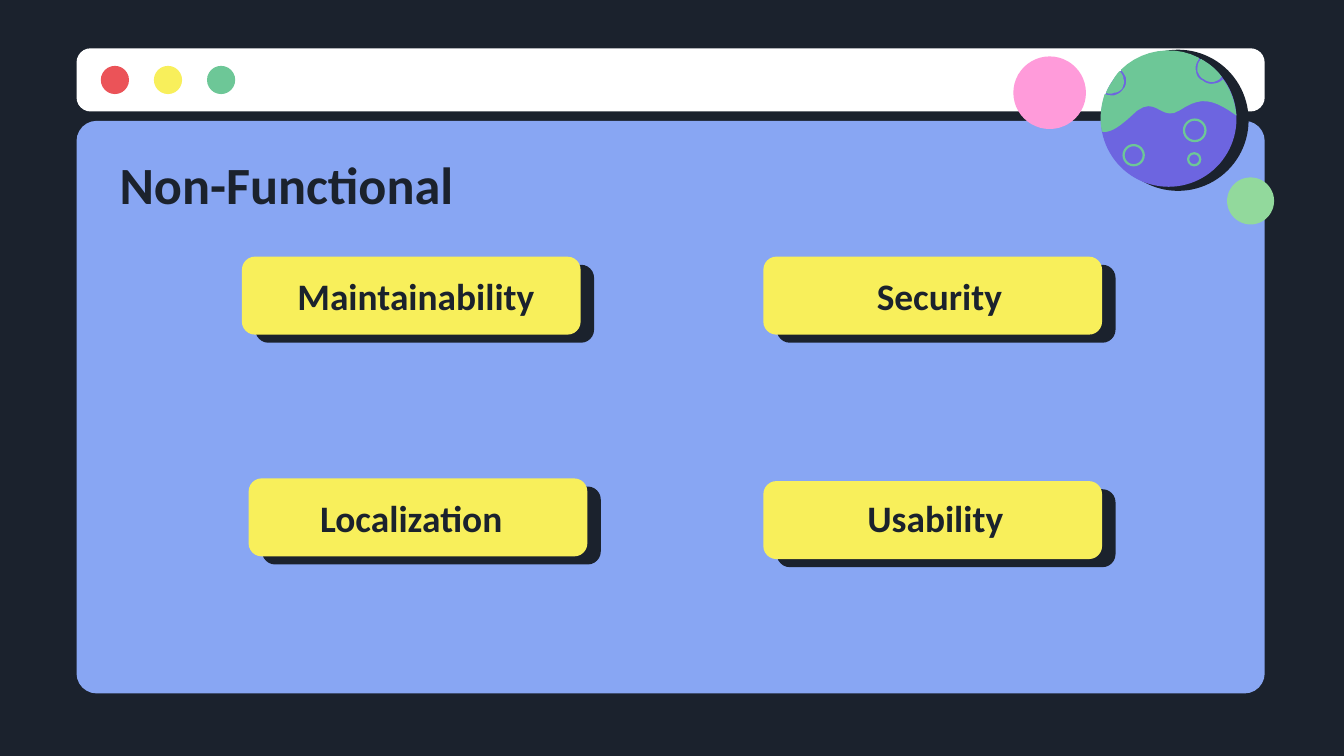
from pptx import Presentation
from pptx.dml.color import RGBColor
from pptx.enum.shapes import MSO_SHAPE
from pptx.enum.text import MSO_ANCHOR, MSO_AUTO_SIZE, PP_ALIGN
from pptx.util import Inches, Pt

ROUNDED = MSO_SHAPE.ROUNDED_RECTANGLE
OVAL = MSO_SHAPE.OVAL
LEFT, CENTER = PP_ALIGN.LEFT, PP_ALIGN.CENTER
MIDDLE = MSO_ANCHOR.MIDDLE
NO_AUTOFIT = MSO_AUTO_SIZE.NONE

NAVY = RGBColor(0x1B, 0x22, 0x2D)
BLUE = RGBColor(0x88, 0xA6, 0xF3)
WHITE = RGBColor(0xFF, 0xFF, 0xFF)
RED = RGBColor(0xEB, 0x53, 0x58)
YELLOW = RGBColor(0xF8, 0xEF, 0x5B)
GREEN = RGBColor(0x6D, 0xC7, 0x97)
PURPLE = RGBColor(0x6D, 0x65, 0xE0)
LIME = RGBColor(0x92, 0xD9, 0x9C)
PINK = RGBColor(0xFF, 0x9B, 0xDA)

CURVE_STEPS = 10
LAND_CONTOURS = [
    [(0.01, 0.60), (-0.01, 0.51), (0, 0.41), (0.03, 0.32),
     (0.06, 0.33), (0.08, 0.33), (0.10, 0.33),
     (0.13, 0.32), (0.15, 0.31), (0.17, 0.28),
     (0.19, 0.26), (0.19, 0.23), (0.19, 0.20),
     (0.18, 0.18), (0.17, 0.16), (0.15, 0.14),
     (0.30, -0.01), (0.54, -0.05), (0.73, 0.05),
     (0.73, 0.05), (0.73, 0.06), (0.73, 0.06),
     (0.71, 0.09), (0.70, 0.12), (0.71, 0.15),
     (0.71, 0.18), (0.73, 0.21), (0.76, 0.22),
     (0.78, 0.24), (0.82, 0.25), (0.85, 0.24),
     (0.87, 0.24), (0.89, 0.23), (0.91, 0.21),
     (0.97, 0.29), (1.00, 0.38), (1.01, 0.48),
     (0.83, 0.35), (0.74, 0.34), (0.59, 0.44),
     (0.44, 0.54), (0.41, 0.29), (0.22, 0.49),
     (0.12, 0.58), (0.06, 0.61), (0.01, 0.60)],
    [(0.04, 0.31), (0.06, 0.32), (0.08, 0.32), (0.10, 0.31),
     (0.12, 0.31), (0.14, 0.30), (0.16, 0.28),
     (0.17, 0.25), (0.18, 0.23), (0.17, 0.21),
     (0.17, 0.19), (0.16, 0.17), (0.14, 0.15),
     (0.12, 0.17), (0.10, 0.20), (0.09, 0.22),
     (0.07, 0.25), (0.05, 0.28), (0.04, 0.31)],
    [(0.75, 0.06), (0.74, 0.06), (0.74, 0.07), (0.74, 0.07),
     (0.72, 0.09), (0.72, 0.12), (0.72, 0.15),
     (0.73, 0.17), (0.74, 0.20), (0.77, 0.21),
     (0.79, 0.23), (0.82, 0.23), (0.84, 0.23),
     (0.87, 0.22), (0.89, 0.21), (0.90, 0.19),
     (0.87, 0.15), (0.83, 0.11), (0.78, 0.08),
     (0.77, 0.07), (0.76, 0.07), (0.75, 0.06)],
]


def paint(shape, color):
    shape.shadow.inherit = False
    shape.fill.solid()
    shape.fill.fore_color.rgb = color
    shape.line.fill.background()


def add_rounded(slide, box, color, radius):
    shape = slide.shapes.add_shape(ROUNDED, *map(Inches, box))
    shape.adjustments[0] = radius
    paint(shape, color)


def add_circle(slide, left, top, size, color):
    shape = slide.shapes.add_shape(OVAL, *map(Inches, (left, top, size, size)))
    paint(shape, color)
    return shape


def write_heading(shape, text, size, alignment):
    frame = shape.text_frame
    frame.text = text
    frame_format = {"word_wrap": True, "auto_size": NO_AUTOFIT, "vertical_anchor": MIDDLE}
    for side in ("left", "top", "right", "bottom"):
        frame_format[f"margin_{side}"] = Inches(0.1)
    for name, value in frame_format.items():
        setattr(frame, name, value)
    paragraph = frame.paragraphs[0]
    paragraph.alignment = alignment
    font = paragraph.runs[0].font
    for name, value in {"name": "Calibri", "size": Pt(size), "bold": True}.items():
        setattr(font, name, value)
    font.color.rgb = NAVY


def add_window(slide, box):
    left, top, width, height = box
    add_rounded(slide, (left, top + 0.54, width, height - 0.54), BLUE, 0.035)
    add_rounded(slide, (left, top, width, 0.47), WHITE, 0.223)
    for index, color in enumerate((RED, YELLOW, GREEN)):
        add_circle(slide, left + 0.18 + index * 0.395, top + 0.13, 0.21, color)


def curve_points(contour):
    points = []
    for start in range(0, len(contour) - 1, 3):
        segment = contour[start:start + 4]
        for step in range(1, CURVE_STEPS + 1):
            t = step / CURVE_STEPS
            weights = ((1 - t) ** 3, 3 * t * (1 - t) ** 2, 3 * t * t * (1 - t), t ** 3)
            points.append(tuple(
                sum(weight * point[axis] for weight, point in zip(weights, segment))
                for axis in (0, 1)))
    return points


def add_planet(slide, left, top):
    def place(point):
        return Inches(left + point[0]), Inches(top + point[1])

    add_circle(slide, left + 0.05, top - 0.01, 1.05, NAVY)
    add_circle(slide, left, top, 1.01, PURPLE)
    builder = slide.shapes.build_freeform(*place(LAND_CONTOURS[0][0]), scale=1.0)
    for index, contour in enumerate(LAND_CONTOURS):
        if index:
            builder.move_to(*place(contour[0]))
        builder.add_line_segments([place(point) for point in curve_points(contour)], close=True)
    paint(builder.convert_to_shape(), GREEN)
    for x, y, size in ((0.62, 0.51, 0.16), (0.17, 0.70, 0.15), (0.65, 0.76, 0.09)):
        crater = add_circle(slide, left + x, top + y, size, PURPLE)
        crater.fill.background()
        crater.line.color.rgb = GREEN
        crater.line.width = Pt(1.2)


def add_card(slide, left, top, text, label_box):
    width, height = 2.52, 0.58
    add_rounded(slide, (left + 0.1, top + 0.06, width, height), NAVY, 0.167)
    add_rounded(slide, (left, top, width, height), YELLOW, 0.167)
    label_left, label_top, label_width = label_box
    label = slide.shapes.add_textbox(*map(Inches, (label_left, label_top, label_width, height)))
    write_heading(label, text, 20, CENTER)


def add_title(slide, box):
    title = slide.shapes.title
    title.left, title.top, title.width, title.height = map(Inches, box)
    write_heading(title, "Non-Functional", 28, LEFT)
    element = title.element
    element.getparent().append(element)


def main():
    presentation = Presentation()
    presentation.slide_width = Inches(10)
    presentation.slide_height = Inches(10) * 9 // 16
    slide = presentation.slides.add_slide(presentation.slide_layouts[5])
    slide.background.fill.solid()
    slide.background.fill.fore_color.rgb = NAVY

    add_window(slide, (0.57, 0.36, 8.84, 4.8))
    add_planet(slide, 8.19, 0.38)
    add_circle(slide, 9.13, 1.32, 0.35, LIME)
    add_circle(slide, 7.54, 0.42, 0.54, PINK)
    cards = (
        (1.8, 1.91, "Maintainability", (1.15, 1.91, 3.89)),
        (5.68, 1.91, "Security", (5.13, 1.91, 3.72)),
        (1.85, 3.56, "Localization", (0.99, 3.56, 4.14)),
        (5.68, 3.58, "Usability", (4.56, 3.56, 4.8)),
    )
    for card in cards:
        add_card(slide, *card)
    add_title(slide, (0.79, 1.06, 8.43, 0.62))
    presentation.save("out.pptx")


if __name__ == "__main__":
    main()
